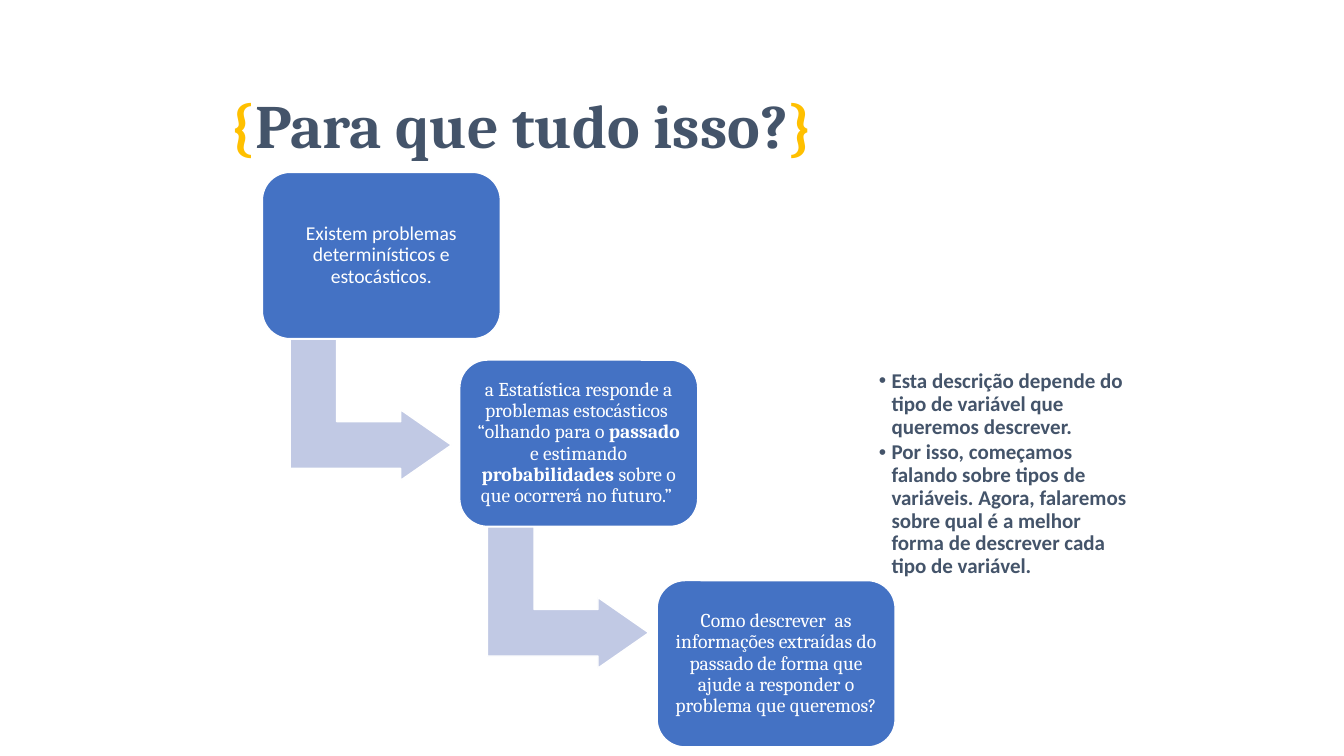
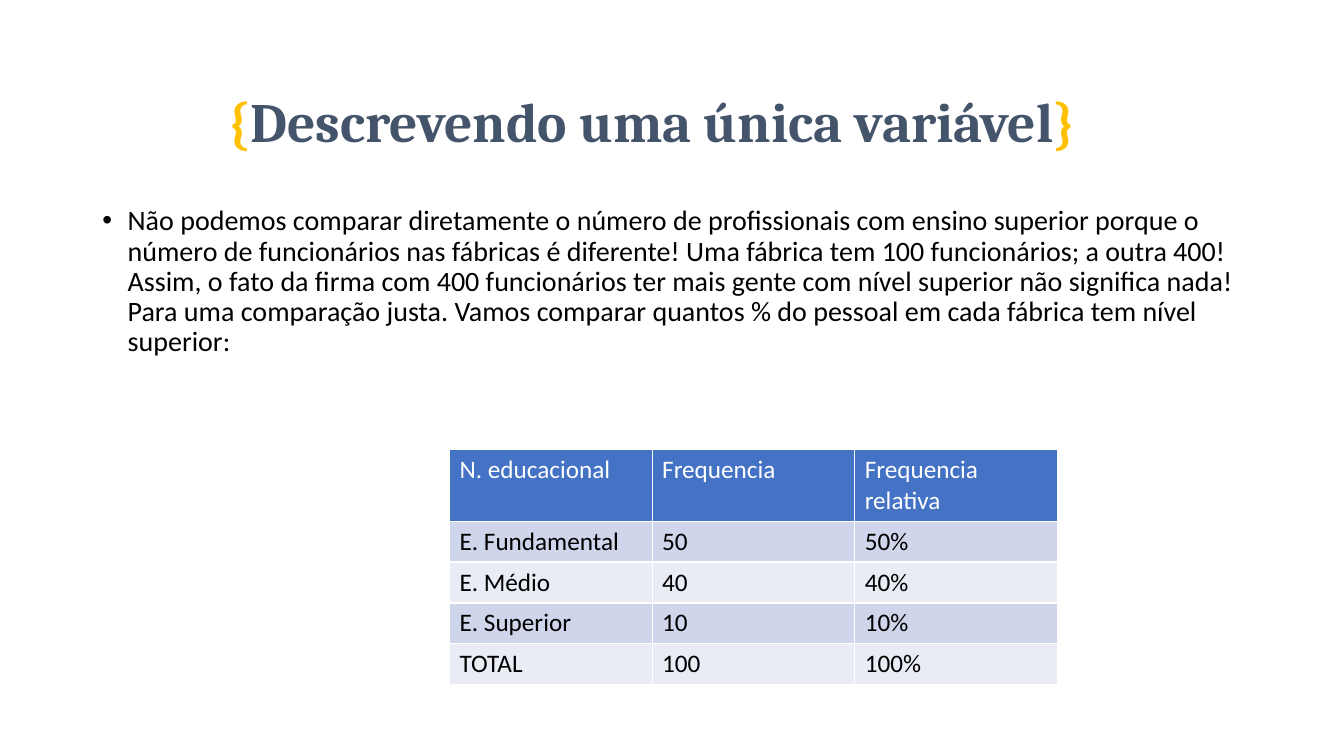
from pptx import Presentation
from pptx.dml.color import RGBColor
from pptx.enum import shapes, text
from pptx.util import Pt

WHITE = RGBColor(0xFF, 0xFF, 0xFF)
BLACK = RGBColor(0, 0, 0)
SLATE = RGBColor(0x44, 0x54, 0x6A)
GOLD = RGBColor(0xFF, 0xC0, 0x00)
BLUE = RGBColor(0x44, 0x72, 0xC4)
ARROW_BLUE = RGBColor(0xC1, 0xC9, 0xE4)
BANDS = [RGBColor(0xCF, 0xD5, 0xEA), RGBColor(0xE9, 0xEB, 0xF5)]
SERIF, SANS = "Cambria", "Calibri"


def add_run(paragraph, words, face, size, color, bold=False):
    run = paragraph.add_run()
    run.text = words
    run.font.name = face
    run.font.size = Pt(size)
    run.font.color.rgb = color
    run.font.bold = bold


def start_slide(heading, heading_size, heading_at, points, points_at, style, indent, gap, anchor):
    slide = deck.slides.add_slide(deck.slide_layouts[1])
    title, body = slide.placeholders
    for holder, place in ((title, heading_at), (body, points_at)):
        holder.left, holder.top, holder.width, holder.height = map(Pt, place)
        holder.text_frame.auto_size = text.MSO_AUTO_SIZE.NONE
        holder.text_frame.word_wrap = True

    title.text_frame.vertical_anchor = text.MSO_ANCHOR.MIDDLE
    line = title.text_frame.paragraphs[0]
    line.alignment = text.PP_ALIGN.LEFT
    line.line_spacing = 0.9
    for words, color in (("{", GOLD), (heading, SLATE), ("}", GOLD)):
        add_run(line, words, SERIF, heading_size, color, True)

    frame = body.text_frame
    frame.vertical_anchor = anchor
    for number, point in enumerate(points):
        item = frame.add_paragraph() if number else frame.paragraphs[0]
        properties = item._p.get_or_add_pPr()
        properties.set("marL", str(Pt(indent)))
        properties.set("indent", str(-Pt(indent)))
        item.line_spacing = 0.9
        item.space_before = Pt(0)
        item.space_after = Pt(gap)
        add_run(item, point, *style)
    return slide


deck = Presentation()
deck.slide_width, deck.slide_height = Pt(960), Pt(540)

purpose = start_slide(
    "Para que tudo isso?", 44, (157.7, 46.8, 648, 90),
    ["Esta descrição depende do tipo de variável que queremos descrever.",
     "Por isso, começamos falando sobre tipos de variáveis. Agora, falaremos sobre "
     "qual é a melhor forma de descrever cada tipo de variável."],
    (622, 255.6, 196.6, 166.3), (SANS, 15, SLATE, True), 9, 2.25, text.MSO_ANCHOR.MIDDLE)
for side in ("left", "right", "top", "bottom"):
    setattr(purpose.placeholders[1].text_frame, "margin_" + side, Pt(5.8))

STEP_LEFT, STEP_SHIFT = 187.4, 141
STEP_WIDTH, STEP_HEIGHT = 170, 118.8
steps = [
    (123.1, SANS, [("Existem problemas determinísticos e estocásticos.", False)]),
    (257.2, SERIF, [
        ("a Estatística responde a problemas estocásticos  “olhando para o ", False),
        ("passado", True),
        (" e estimando ", False),
        ("probabilidades", True),
        (" sobre o que ocorrerá no futuro.” ", False)]),
    (414.7, SERIF, [
        ("Como descrever  as informações extraídas do passado de forma que ajude a "
         "responder o problema que queremos?", False)]),
]
for number, (top, face, pieces) in enumerate(steps):
    left = STEP_LEFT + number * STEP_SHIFT
    parts = []
    if number < len(steps) - 1:
        arrow = purpose.shapes.add_shape(
            shapes.MSO_SHAPE.BENT_UP_ARROW, Pt(left + 27), Pt(top + 112), Pt(100.8), Pt(115.2))
        arrow.rotation = 90
        for index, share in enumerate((0.33, 0.25, 0.36)):
            arrow.adjustments[index] = share
        parts.append((arrow, ARROW_BLUE))
    step = purpose.shapes.add_shape(
        shapes.MSO_SHAPE.ROUNDED_RECTANGLE, Pt(left), Pt(top), Pt(STEP_WIDTH), Pt(STEP_HEIGHT))
    parts.append((step, BLUE))
    for part, color in parts:
        part.shadow.inherit = False
        part.fill.solid()
        part.fill.fore_color.rgb = color
        part.line.color.rgb = WHITE
        part.line.width = Pt(1)

    frame = step.text_frame
    frame.word_wrap = True
    frame.vertical_anchor = text.MSO_ANCHOR.MIDDLE
    for side in ("left", "right", "top", "bottom"):
        setattr(frame, "margin_" + side, Pt(4.2))
    line = frame.paragraphs[0]
    line.alignment = text.PP_ALIGN.CENTER
    line.line_spacing = 0.9
    for words, bold in pieces:
        add_run(line, words, face, 14, WHITE, bold)

comparison = start_slide(
    "Descrevendo uma única variável", 39.6, (156.2, 43.9, 648, 90),
    ["Não podemos comparar diretamente o número de profissionais com ensino superior "
     "porque o número de funcionários nas fábricas é diferente! Uma fábrica tem 100 "
     "funcionários; a outra 400! Assim, o fato da firma com 400 funcionários ter mais "
     "gente com nível superior não significa nada! Para uma comparação justa. Vamos "
     "comparar quantos % do pessoal em cada fábrica tem nível superior:"],
    (66, 144, 828, 342.7), (SANS, 20, BLACK), 18, 0, text.MSO_ANCHOR.TOP)

education = [
    ("N. educacional", "Frequencia", "Frequencia relativa"),
    ("E. Fundamental", "50", "50%"),
    ("E. Médio", "40", "40%"),
    ("E. Superior", "10", "10%"),
    ("TOTAL", "100", "100%"),
]
HEADER_HEIGHT, ROW_HEIGHT = 50.4, 29.2
frequencies = comparison.shapes.add_table(
    len(education), len(education[0]), Pt(321.1), Pt(321.1),
    Pt(434.2), Pt(HEADER_HEIGHT + 4 * ROW_HEIGHT)).table
for row, entries in enumerate(education):
    frequencies.rows[row].height = Pt(ROW_HEIGHT if row else HEADER_HEIGHT)
    for column, words in enumerate(entries):
        cell = frequencies.cell(row, column)
        cell.fill.solid()
        cell.fill.fore_color.rgb = BANDS[(row - 1) % 2] if row else BLUE
        add_run(cell.text_frame.paragraphs[0], words, SANS, 18, BLACK if row else WHITE)

deck.save("out.pptx")
